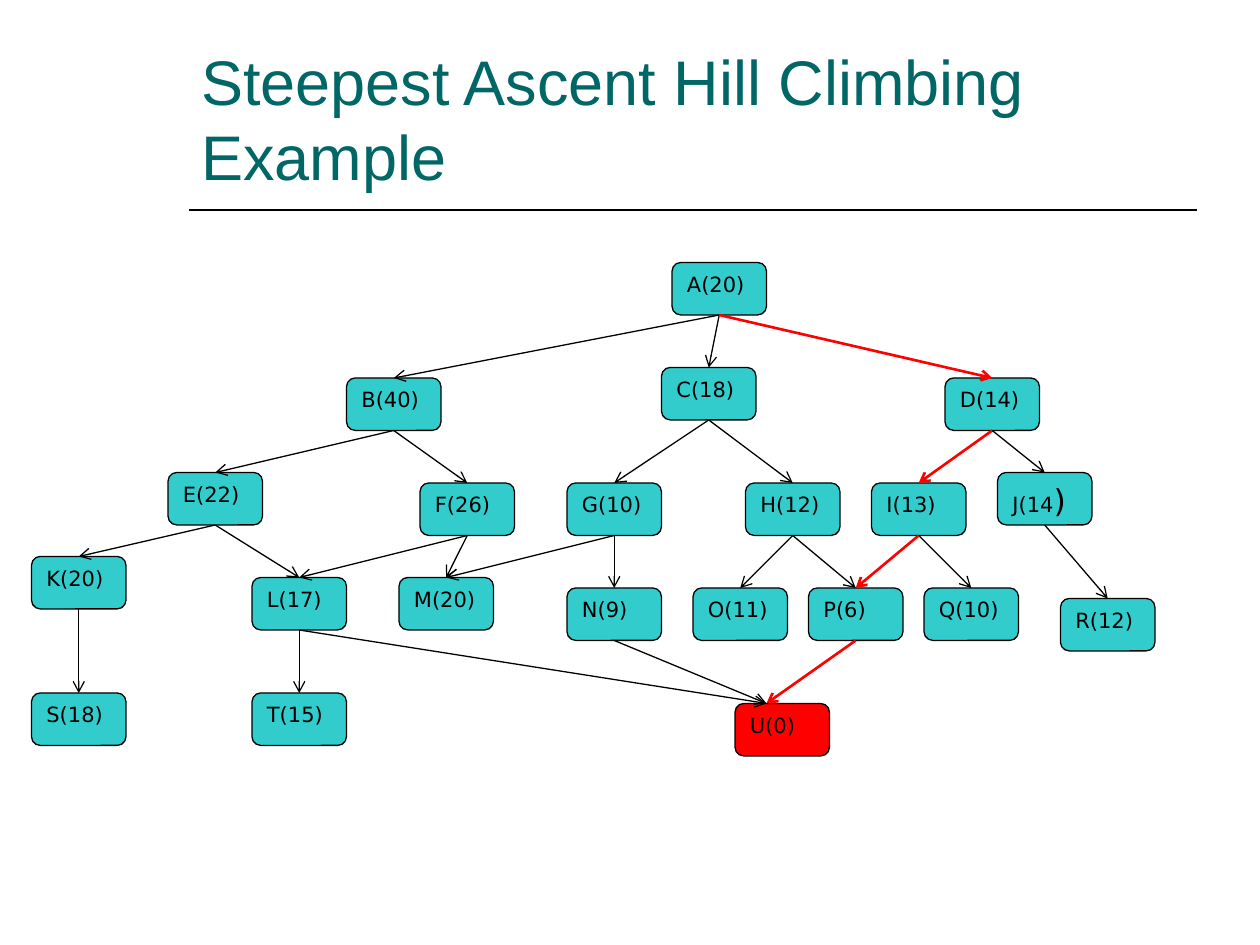
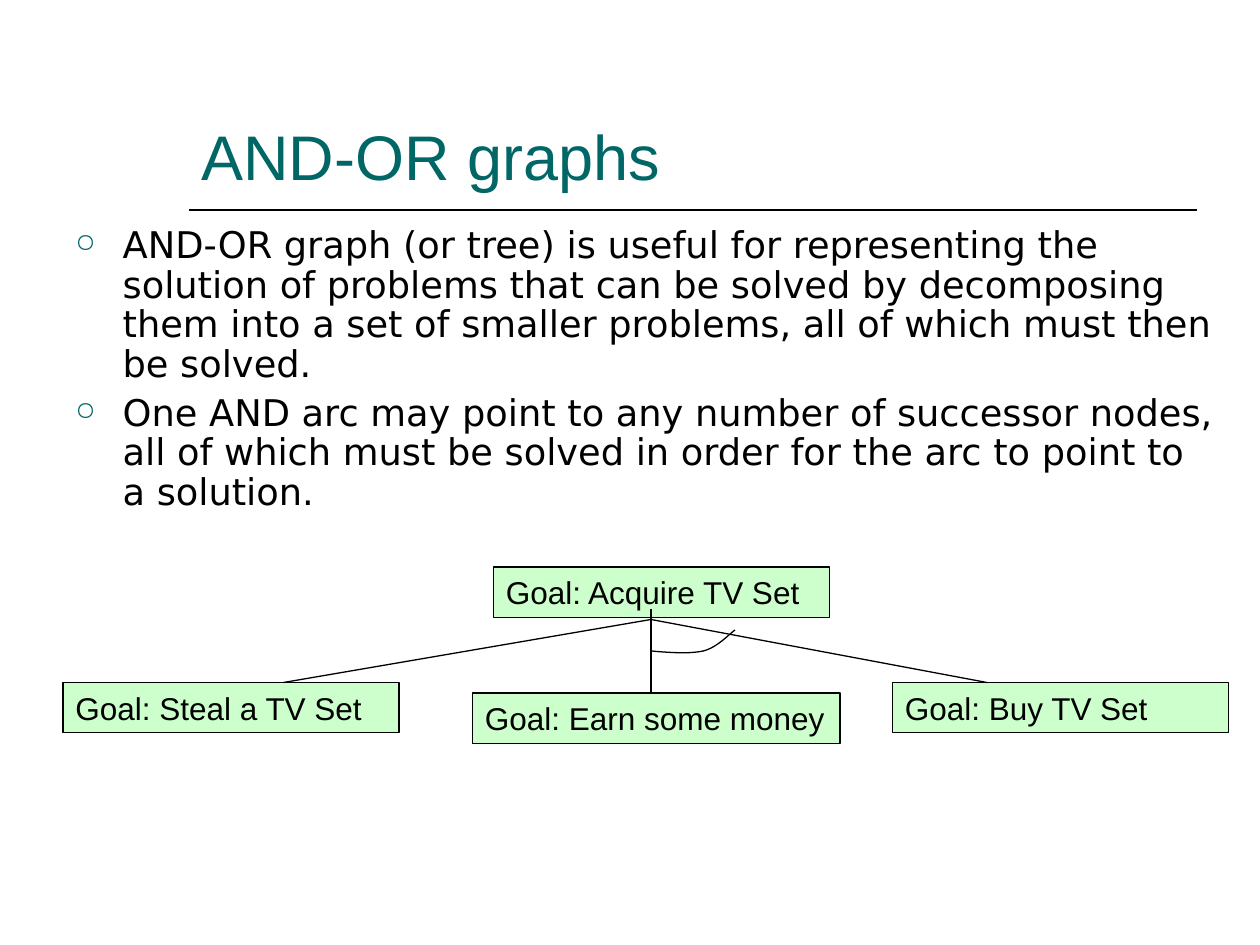
import dataclasses

import lxml.etree
import pptx
import pptx.dml.color
import pptx.enum.shapes
import pptx.enum.text
import pptx.oxml.ns
import pptx.util

Pt = pptx.util.Pt
RGB = pptx.dml.color.RGBColor.from_string
qn = pptx.oxml.ns.qn
SHAPE = pptx.enum.shapes.MSO_SHAPE
ANCHOR = pptx.enum.text.MSO_ANCHOR
ALIGN = pptx.enum.text.PP_ALIGN


@dataclasses.dataclass(frozen=True)
class Theme:
    title: str = "006666"
    ink: str = "000000"
    node: str = "33CCCC"
    path_red: str = "FF0000"
    goal: str = "CCFFCC"
    heading_font: str = "Arial"
    body_font: str = "DejaVu Sans"
    title_size: float = 36
    body_size: float = 21
    goal_size: float = 18
    node_size: float = 12
    paren_size: float = 18
    thin: float = 0.75
    rule: float = 1
    bold_line: float = 1.5


theme = Theme()


def write(shape, paragraphs, font, size, color, anchor=ANCHOR.TOP):
    tf = shape.text_frame
    frame_format = {
        "word_wrap": True, "vertical_anchor": anchor,
        "margin_left": Pt(7.2), "margin_right": Pt(7.2),
        "margin_top": Pt(3.6), "margin_bottom": Pt(3.6),
    }
    for name, value in frame_format.items():
        setattr(tf, name, value)
    for i, text in enumerate(paragraphs):
        p = tf.paragraphs[0] if i == 0 else tf.add_paragraph()
        p.alignment = ALIGN.LEFT
        r = p.add_run()
        r.text = text
        for name, value in {"name": font, "size": Pt(size)}.items():
            setattr(r.font, name, value)
        r.font.color.rgb = RGB(color)
    return tf


def add_line(s, start, end, color=theme.ink, width=theme.thin, arrow=False):
    line = s.shapes.add_connector(
        pptx.enum.shapes.MSO_CONNECTOR.STRAIGHT, *map(Pt, start + end))
    line.line.color.rgb = RGB(color)
    line.line.width = Pt(width)
    if arrow:
        lxml.etree.SubElement(line.line._get_or_add_ln(), qn("a:tailEnd"), type="arrow")
    lxml.etree.SubElement(line._element.spPr, qn("a:effectLst"))
    return line


prs = pptx.Presentation()
prs.slide_width, prs.slide_height = Pt(720), Pt(540)

slides = []
for title in ("Steepest Ascent Hill Climbing Example", "AND-OR graphs"):
    s = prs.slides.add_slide(prs.slide_layouts[6])
    add_line(s, (108, 120), (684, 120), width=theme.rule)
    box = s.shapes.add_textbox(Pt(108), Pt(24), Pt(576), Pt(90))
    write(box, [title], theme.heading_font, theme.title_size, theme.title, ANCHOR.BOTTOM)
    slides.append(s)
tree_slide, graph_slide = slides

GRID = 6
NODE_W, NODE_H = 54, 30
nodes = {
    "A": (20, 64, 25),
    "B": (40, 33, 36), "C": (18, 63, 35), "D": (14, 90, 36),
    "E": (22, 16, 45), "F": (26, 40, 46), "G": (10, 54, 46),
    "H": (12, 71, 46), "I": (13, 83, 46), "J": (14, 95, 45),
    "K": (20, 3, 53), "L": (17, 24, 55), "M": (20, 38, 55),
    "N": (9, 54, 56), "O": (11, 66, 56), "P": (6, 77, 56),
    "Q": (10, 88, 56), "R": (12, 101, 57),
    "S": (18, 3, 66), "T": (15, 24, 66), "U": (0, 70, 67),
}
boxes = {}
for name, (cost, column, row) in nodes.items():
    sp = tree_slide.shapes.add_shape(
        SHAPE.ROUNDED_RECTANGLE, Pt(column * GRID), Pt(row * GRID), Pt(NODE_W), Pt(NODE_H))
    sp.shadow.inherit = False
    sp.fill.solid()
    sp.fill.fore_color.rgb = RGB(theme.path_red if name == "U" else theme.node)
    sp.line.color.rgb = RGB(theme.ink)
    sp.line.width = Pt(theme.thin)
    label = f"{name}({cost})"
    if name == "J":
        p = write(sp, [label[:-1]], theme.body_font, theme.node_size, theme.ink).paragraphs[0]
        r = p.add_run()
        r.text = label[-1]
        for key, value in {"name": theme.body_font, "size": Pt(theme.paren_size)}.items():
            setattr(r.font, key, value)
        r.font.color.rgb = RGB(theme.ink)
    else:
        write(sp, [label], theme.body_font, theme.node_size, theme.ink)
    boxes[name] = sp

children = {
    "A": "CBD", "B": "EF", "C": "GH", "D": "IJ", "E": "KL", "F": "LM",
    "G": "NM", "H": "OP", "I": "QP", "J": "R", "K": "S", "L": "TU",
    "N": "U", "P": "U",
}
steepest_path = {"AD", "DI", "IP", "PU"}
goal_entry = (438, 402)
for parent, successors in children.items():
    for child in successors:
        on_path = parent + child in steepest_path
        line = add_line(
            tree_slide, (0, 0), goal_entry,
            theme.path_red if on_path else theme.ink,
            theme.bold_line if on_path else theme.thin, arrow=True)
        line.begin_connect(boxes[parent], 2)
        if child != "U":
            line.end_connect(boxes[child], 0)

body = graph_slide.shapes.add_textbox(Pt(36), Pt(126), Pt(666), Pt(198))
tf = write(body, [
    "AND-OR graph (or tree) is useful for representing the solution of problems that can be "
    "solved by decomposing them into a set of smaller problems, all of which must then be solved.",
    "One AND arc may point to any number of successor nodes, all of which must be solved in "
    "order for the arc to point to a solution.",
], theme.body_font, theme.body_size, theme.ink)
for i, p in enumerate(tf.paragraphs):
    pPr = p._p.get_or_add_pPr()
    pPr.set("marL", str(Pt(27)))
    pPr.set("indent", str(-Pt(27)))
    bullet_color = lxml.etree.SubElement(pPr, qn("a:buClr"))
    lxml.etree.SubElement(bullet_color, qn("a:srgbClr"), val=theme.title)
    lxml.etree.SubElement(pPr, qn("a:buSzPct"), val="70000")
    lxml.etree.SubElement(pPr, qn("a:buChar"), char="○")
    p.line_spacing = 0.9
    p.space_before = Pt(5.2 if i else 0)

goals = [
    ("Goal: Acquire TV Set", 282, 324, 192),
    ("Goal: Steal a TV Set", 36, 390, 192),
    ("Goal: Earn some money", 270, 396, 210),
    ("Goal: Buy TV Set", 510, 390, 192),
]
for text, left, top, width in goals:
    sp = graph_slide.shapes.add_shape(SHAPE.RECTANGLE, Pt(left), Pt(top), Pt(width), Pt(28.8))
    sp.shadow.inherit = False
    sp.fill.solid()
    sp.fill.fore_color.rgb = RGB(theme.goal)
    sp.line.color.rgb = RGB(theme.ink)
    sp.line.width = Pt(theme.thin)
    write(sp, [text], theme.heading_font, theme.goal_size, theme.ink)

for start, end in (((372, 354), (162, 390)), ((372, 348), (372, 396)), ((372, 354), (564, 390))):
    add_line(graph_slide, start, end)

and_arc = [
    ((372, 372), (383, 373), (394, 373.7), (402, 372)),
    ((402, 372), (410, 370), (417, 362), (420, 360)),
]
STEPS = 10
arc_points = []
for curve in and_arc:
    for step in range(1, STEPS + 1):
        t = step / STEPS
        weights = ((1 - t) ** 3, 3 * t * (1 - t) ** 2, 3 * t ** 2 * (1 - t), t ** 3)
        arc_points.append(tuple(
            Pt(sum(w * point[axis] for w, point in zip(weights, curve))) for axis in (0, 1)))
builder = graph_slide.shapes.build_freeform(Pt(372), Pt(372))
builder.add_line_segments(arc_points, close=False)
arc = builder.convert_to_shape()
arc.shadow.inherit = False
arc.fill.background()
arc.line.color.rgb = RGB(theme.ink)
arc.line.width = Pt(theme.thin)

prs.save("out.pptx")
